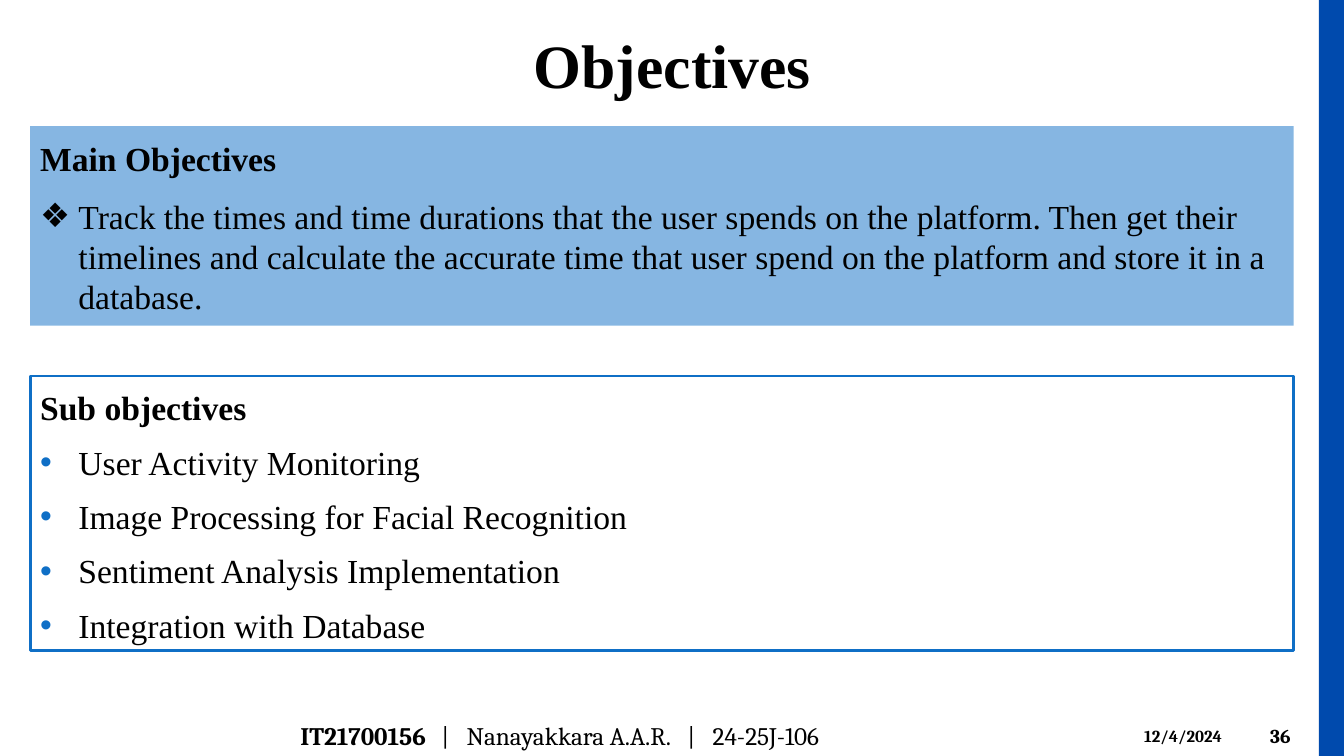
"""Build the Objectives slide with its two panels and footer."""
from lxml import etree
from pptx import Presentation, util as u
from pptx.dml.color import RGBColor
from pptx.enum import shapes, text
from pptx.oxml import ns

W, H = 13.33, 7.5
LEFT, WIDE = 0.3, 12.53
EDGE, BLEED = 13.08, 1.33
DENT = 0.38
THEME = {
    "ink": "000000", "blue": "0F6FC6", "bar": "004AAD", "white": "FFFFFF",
    "serif": "Times New Roman", "foot": "Cambria",
    "title": 44, "body": 24, "name": 18, "page": 14, "date": 12,
}


def add(node, tag, **attrs):
    """Append a drawing element."""
    return etree.SubElement(node, ns.qn("a:" + tag), attrs)


def write(para, words, size, face="serif", bold=False, **form):
    """Add a run and format its paragraph."""
    run = para.add_run()
    run.text = words
    font = {"name": THEME[face], "size": u.Pt(THEME[size]), "bold": bold}
    for key, val in font.items():
        setattr(run.font, key, val)
    run.font.color.rgb = RGBColor.from_string(THEME["ink"])
    for key, val in form.items():
        setattr(para, key, val)


deck = Presentation()
deck.slide_width, deck.slide_height = u.Inches(W), u.Inches(H)
slide = deck.slides.add_slide(deck.slide_layouts[6])

labels = [
    ("36", "page", "foot", (12.5, 7.1, 0.74, 0.4), text.PP_ALIGN.LEFT),
    ("12/4/2024", "date", "foot", (11.25, 7.15, 1.17, 0.3), text.PP_ALIGN.LEFT),
    ("Objectives", "title", "serif", (0.28, 0.16, 12.78, 0.95), text.PP_ALIGN.CENTER),
    ("IT21700156", "name", "foot", (2.88, 7.1, 7.45, 0.4), text.PP_ALIGN.LEFT),
]
for words, size, face, box, align in labels:
    frame = slide.shapes.add_textbox(*map(u.Inches, box)).text_frame
    frame.word_wrap = True
    frame.vertical_anchor = text.MSO_ANCHOR.MIDDLE
    write(frame.paragraphs[0], words, size, face, True, alignment=align)

team = frame.paragraphs[0]
tabs = add(team._p.get_or_add_pPr(), "tabLst")
for stop in (1.4, 1.65, 3.84, 4.09):
    add(tabs, "tab", pos=str(u.Inches(stop)), algn="l")
write(team, "\t|\tNanayakkara A.A.R.\t|\t24-25J-106", "name", "foot")

main = {"space_before": u.Pt(4.8)}
sub = {"line_spacing": 1.07, "space_after": u.Pt(8)}
panels = [
    ("Main Objectives", 1.25, 1.98, "blue", None, "❖", "ink", main, [
        "Track the times and time durations that the user spends on the platform. "
        "Then get their timelines and calculate the accurate time that user spend "
        "on the platform and store it in a database."]),
    ("Sub objectives", 3.73, 2.72, "white", "blue", "•", "blue", sub, [
        "User Activity Monitoring", "Image Processing for Facial Recognition",
        "Sentiment Analysis Implementation", "Integration with Database"]),
    (None, -0.12, 7.75, "bar", None, None, None, None, []),
]
for head, top, high, fill, line, mark, tint, form, items in panels:
    left, wide = (LEFT, WIDE) if head else (EDGE, BLEED)
    box = slide.shapes.add_shape(
        shapes.MSO_SHAPE.RECTANGLE, *map(u.Inches, (left, top, wide, high)))
    box.shadow.inherit = False
    box.fill.solid()
    box.fill.fore_color.rgb = RGBColor.from_string(THEME[fill])
    if line:
        box.line.color.rgb = RGBColor.from_string(THEME[line])
        box.line.width = u.Pt(2)
    else:
        box.line.fill.background()
    if not head:
        continue
    if fill == "blue":
        add(box._element.spPr.find(".//" + ns.qn("a:srgbClr")), "alpha", val="50000")
    frame = box.text_frame
    frame.word_wrap = True
    frame.vertical_anchor = text.MSO_ANCHOR.TOP
    write(frame.paragraphs[0], head, "body", bold=True, line_spacing=1.16,
          space_after=u.Pt(8), alignment=text.PP_ALIGN.LEFT)
    for item in items:
        para = frame.add_paragraph()
        props = para._p.get_or_add_pPr()
        props.set("marL", str(u.Inches(DENT)))
        props.set("indent", str(-u.Inches(DENT)))
        add(add(props, "buClr"), "srgbClr", val=THEME[tint])
        add(props, "buFont", typeface="Arial")
        add(props, "buChar", char=mark)
        write(para, item, "body", alignment=text.PP_ALIGN.LEFT, **form)

deck.save("out.pptx")
